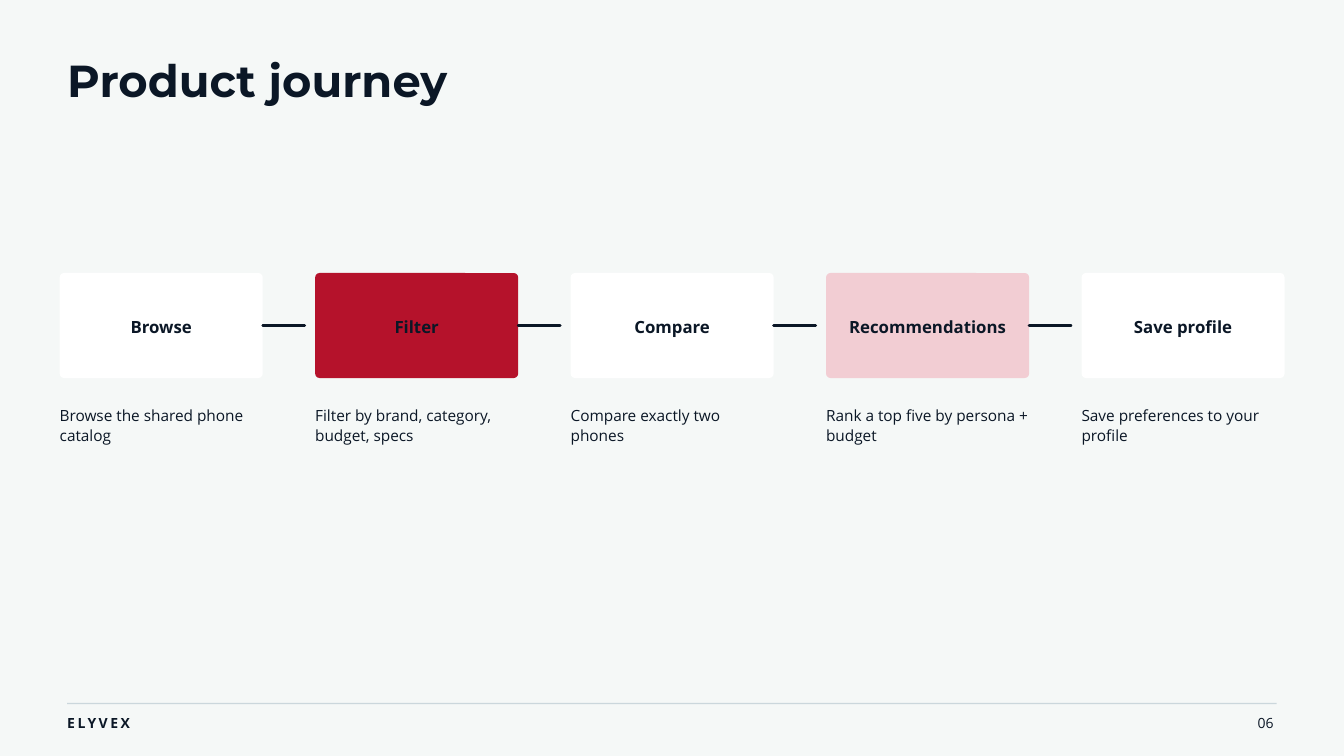
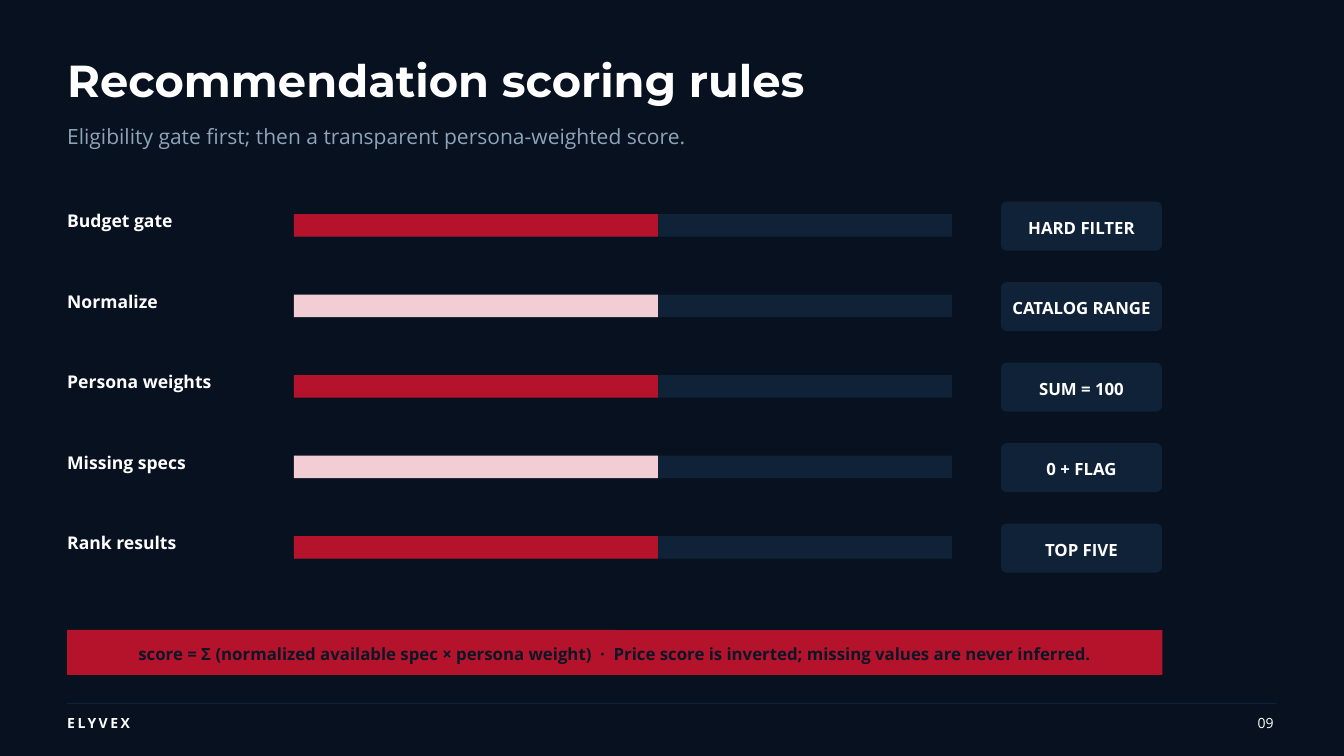
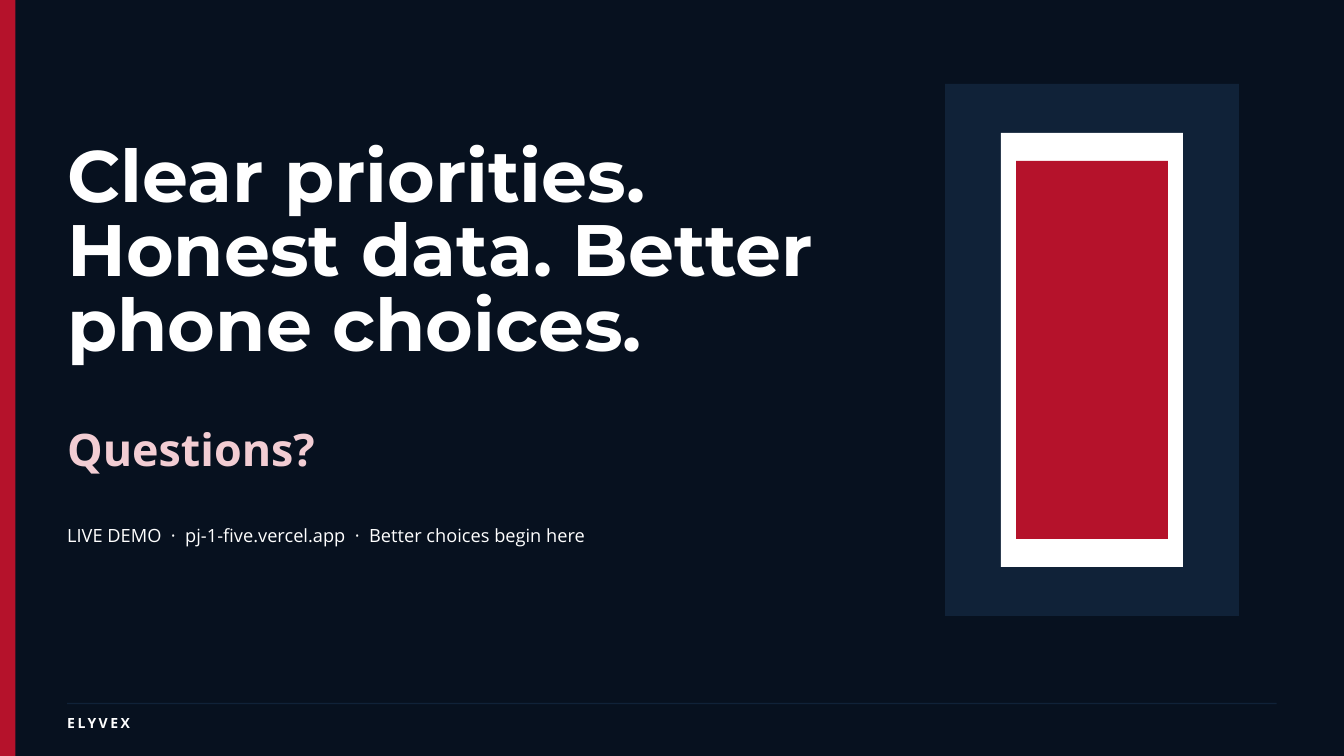
import lxml.etree
import pptx
import pptx.dml.color
import pptx.enum.shapes
import pptx.enum.text
import pptx.oxml.ns
import pptx.util

Pt = pptx.util.Pt
Align = pptx.enum.text.PP_ALIGN
Anchor = pptx.enum.text.MSO_ANCHOR
Shape = pptx.enum.shapes.MSO_SHAPE
qn = pptx.oxml.ns.qn

INK, NIGHT, NAVY = "0B1726", "07111F", "102238"
RED, PINK, WHITE = "B5122B", "F2CDD3", "FFFFFF"
MIST, SILVER, SLATE = "F5F8F7", "CBD7DC", "8FA4B8"
MARGIN = 72


def rgb(hex_color):
    return pptx.dml.color.RGBColor.from_string(hex_color)


class SlideBuilder:
    """Hold the deck style and the current slide, and draw its elements."""

    heading_font = "Montserrat"
    body_font = "Open Sans"

    def __init__(self):
        self.deck = pptx.Presentation()
        self.deck.slide_width = Pt(1440)
        self.deck.slide_height = Pt(810)

    def start(self, background, ink, rule):
        self.page = self.deck.slides.add_slide(self.deck.slide_layouts[5])
        self.page.background.fill.solid()
        self.page.background.fill.fore_color.rgb = rgb(background)
        self.ink = ink
        self.rule = rule

    def set_text(self, box, text, size, leading, color=None, bold=False,
                 align=Align.LEFT, anchor=Anchor.TOP, inset=0, font=None, tracking=0):
        frame = box.text_frame
        frame.text = text
        frame.word_wrap = True
        frame.auto_size = pptx.enum.text.MSO_AUTO_SIZE.NONE
        frame.vertical_anchor = anchor
        frame.margin_left = frame.margin_right = Pt(inset)
        frame.margin_top = frame.margin_bottom = Pt(inset)
        para = frame.paragraphs[0]
        para.alignment = align
        para.line_spacing = Pt(leading)
        for span in para.runs:
            span.font.name = font or self.body_font
            span.font.size = Pt(size)
            span.font.bold = bold
            span.font.color.rgb = rgb(color or self.ink)
            if tracking:
                span._r.get_or_add_rPr().set("spc", str(round(tracking * 100)))

    def title(self, text, top=64.8, width=1125, height=50, size=48, leading=49):
        box = self.page.shapes.title
        box.left, box.top, box.width, box.height = Pt(MARGIN), Pt(top), Pt(width), Pt(height)
        self.set_text(box, text, size, leading, bold=True, font=self.heading_font)

    def text(self, text, left, top, width, height, size, leading, **style):
        box = self.page.shapes.add_textbox(Pt(left), Pt(top), Pt(width), Pt(height))
        self.set_text(box, text, size, leading, **style)

    def block(self, left, top, width, height, fill, radius=0):
        kind = Shape.ROUNDED_RECTANGLE if radius else Shape.RECTANGLE
        box = self.page.shapes.add_shape(kind, Pt(left), Pt(top), Pt(width), Pt(height))
        if radius:
            box.adjustments[0] = radius / min(width, height)
        box.shadow.inherit = False
        box.fill.solid()
        box.fill.fore_color.rgb = rgb(fill)
        box.line.fill.background()
        return box

    def label_block(self, text, left, top, width, height, fill, color, radius=0):
        box = self.block(left, top, width, height, fill, radius)
        self.set_text(box, text, 18, 25.2, color, bold=True, align=Align.CENTER,
                      anchor=Anchor.MIDDLE, inset=4.5)
        return box

    def dash_after(self, box, length):
        start = box.left + box.width
        middle = box.top + box.height // 2
        dash = self.page.shapes.add_connector(
            pptx.enum.shapes.MSO_CONNECTOR.STRAIGHT, start, middle, start + Pt(length), middle)
        dash.begin_connect(box, 3)
        dash.line.color.rgb = rgb(self.ink)
        dash.line.width = Pt(3)
        properties = dash._element.spPr
        properties.find(qn("a:ln")).set("cap", "rnd")
        lxml.etree.SubElement(properties, qn("a:effectLst"))

    def footer(self, number=None):
        self.block(MARGIN, 753, 1296, 1.5, self.rule)
        self.text("ELYVEX", MARGIN, 762.5, 195, 20, 15, 21, bold=True, tracking=2.7)
        if number:
            self.text(number, 1304.6, 762.5, 60, 20, 15, 21, align=Align.RIGHT)


def build_journey(builder):
    steps = [
        ("Browse", "Browse the shared phone catalog", WHITE),
        ("Filter", "Filter by brand, category, budget, specs", RED),
        ("Compare", "Compare exactly two phones", WHITE),
        ("Recommendations", "Rank a top five by persona + budget", PINK),
        ("Save profile", "Save preferences to your profile", WHITE),
    ]
    builder.start(MIST, INK, SILVER)
    builder.title("Product journey")
    for index, (name, detail, fill) in enumerate(steps):
        left = 64 + 273.7 * index
        card = builder.label_block(name, left, 292.5, 217.5, 112.5, fill, INK, radius=4.7)
        if index < len(steps) - 1:
            builder.dash_after(card, 45)
        builder.text(detail, left, 433.5, 217.5, 42, 16.5, 21.4)
    builder.footer("06")


def build_scoring(builder):
    rules = [
        ("Budget gate", "HARD FILTER"),
        ("Normalize", "CATALOG RANGE"),
        ("Persona weights", "SUM = 100"),
        ("Missing specs", "0 + FLAG"),
        ("Rank results", "TOP FIVE"),
    ]
    builder.start(NIGHT, WHITE, NAVY)
    builder.title("Recommendation scoring rules")
    builder.text("Eligibility gate first; then a transparent persona-weighted score.",
                 MARGIN, 129.6, 787.5, 29, 22.5, 29.2, color=SLATE)
    for index, (name, outcome) in enumerate(rules):
        top = 216 + 86.25 * index
        builder.text(name, MARGIN, top + 7.2, 225, 24, 18.8, 24.4, bold=True)
        builder.block(315, top + 13.5, 705, 24, NAVY)
        builder.block(315, top + 13.5, 390, 24, (RED, PINK)[index % 2])
        builder.label_block(outcome, 1072.5, top, 172.5, 52.5, NAVY, WHITE, radius=6)
    builder.label_block(
        "score = Σ (normalized available spec × persona weight)  ·  "
        "Price score is inverted; missing values are never inferred.",
        MARGIN, 675, 1173.5, 48, RED, INK, radius=0.5)
    builder.footer("09")


def build_closing(builder):
    builder.start(NIGHT, WHITE, NAVY)
    builder.block(0, 0, 16.5, 810, RED)
    builder.block(1012.5, 90, 315, 570, NAVY)
    builder.block(1072.5, 142.5, 195, 465, WHITE)
    builder.block(1088.75, 172.5, 162.5, 405, RED)
    builder.title("Clear priorities. Honest data. Better phone choices.",
                  top=153, width=840, height=242, size=78, leading=79.6)
    builder.text("Questions?", MARGIN, 447, 525, 60, 48, 62.4, color=PINK, bold=True)
    builder.text("LIVE DEMO  ·  pj-1-five.vercel.app  ·  Better choices begin here",
                 MARGIN, 560.2, 600, 25, 19.5, 25.4)
    builder.footer()


def main():
    builder = SlideBuilder()
    build_journey(builder)
    build_scoring(builder)
    build_closing(builder)
    builder.deck.save("out.pptx")


if __name__ == "__main__":
    main()
